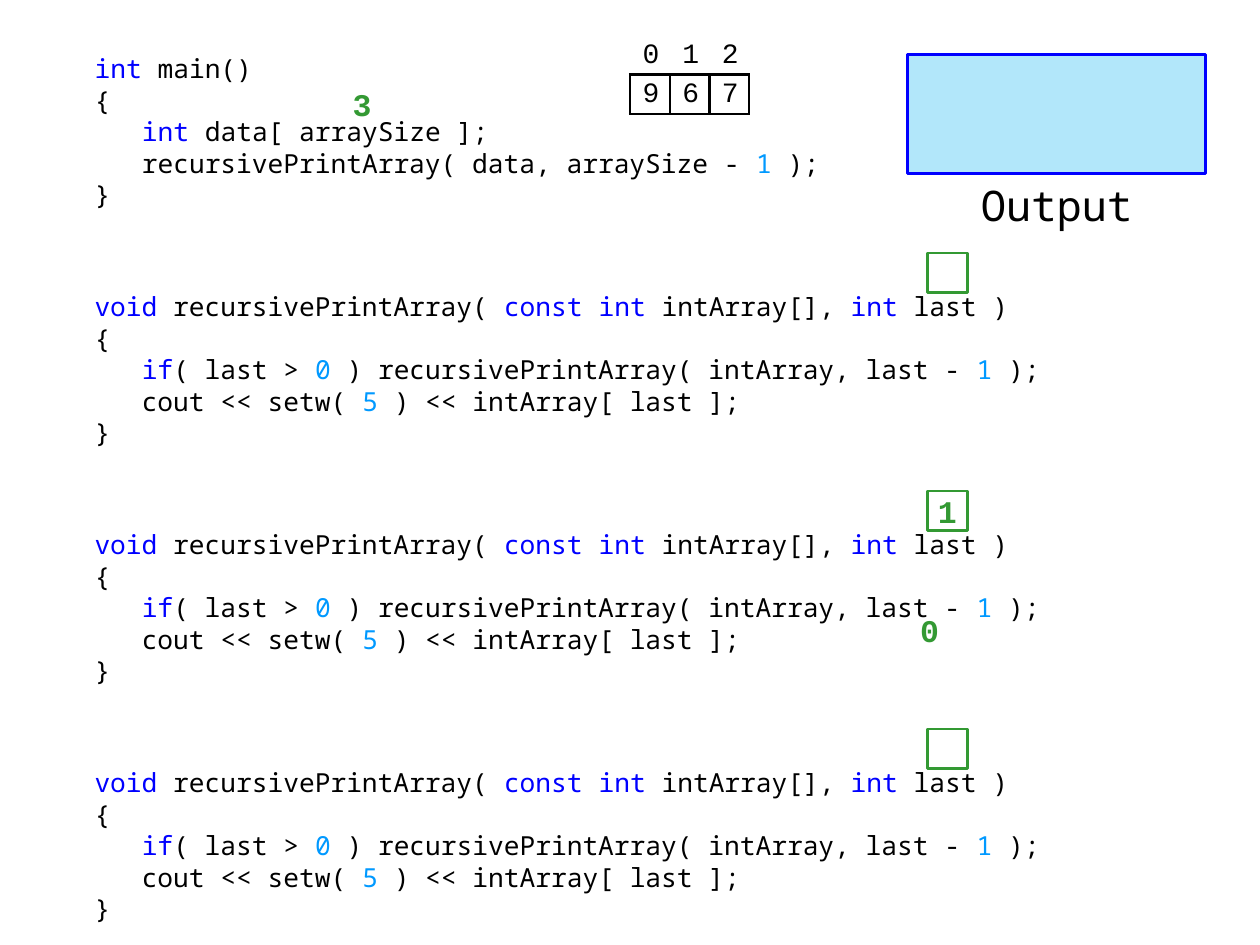
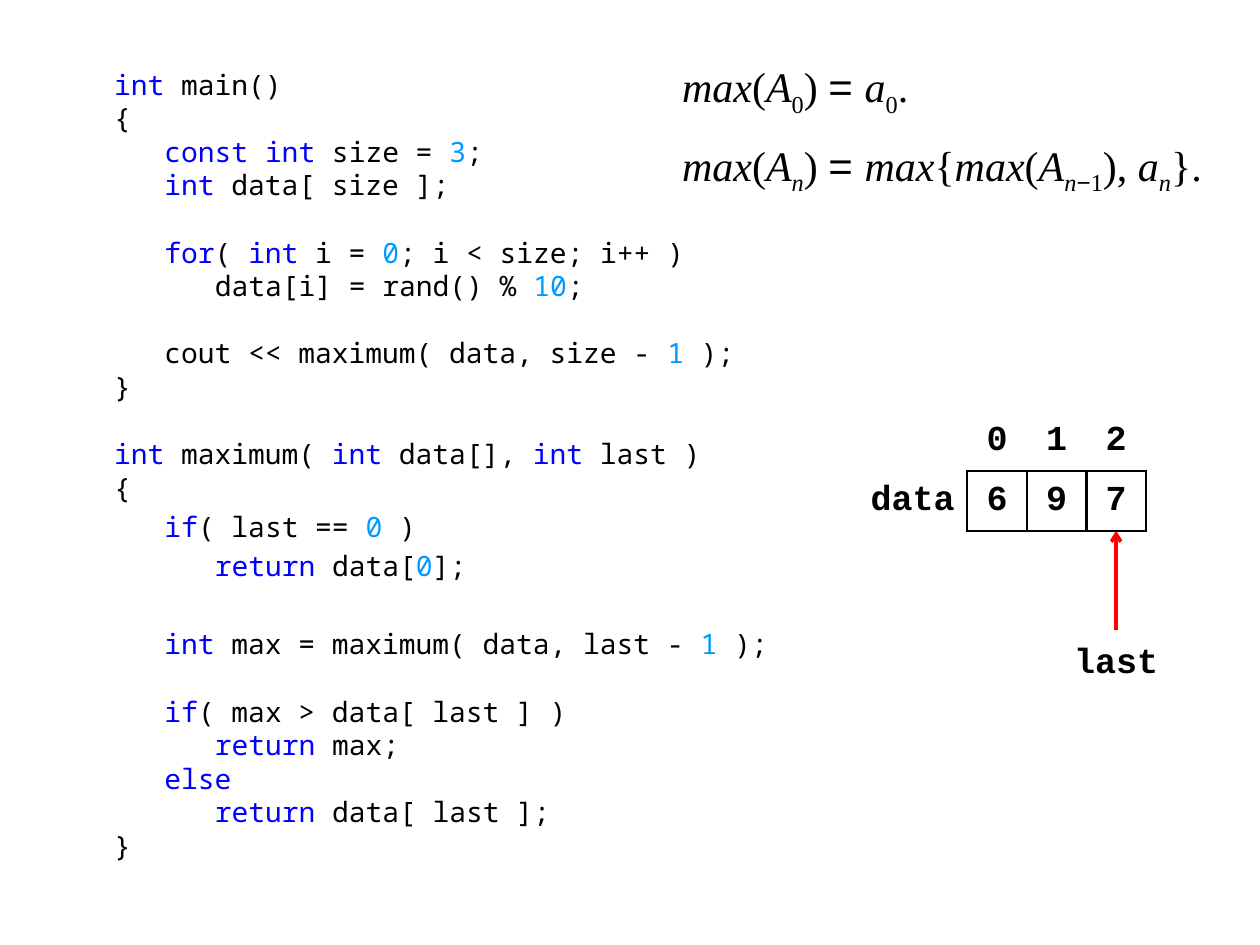
"""Build two slides that trace recursive array functions in C++."""
from itertools import groupby

from lxml import etree
from pptx import Presentation, util as u
from pptx.dml.color import RGBColor
from pptx.enum import shapes, text
from pptx.oxml.ns import qn

BLACK = RGBColor(0x00, 0x00, 0x00)
KEYWORD = RGBColor(0x00, 0x00, 0xFF)
NUMBER = RGBColor(0x00, 0x99, 0xFF)
GREEN = RGBColor(0x33, 0x99, 0x33)
RED = RGBColor(0xFF, 0x00, 0x00)
SKY = RGBColor(0x00, 0xB0, 0xF0)
CODE, MONO, SERIF, SANS = "Noto Sans Mono", "Courier New", "Times New Roman", "Arial"
KEYWORDS = {"int", "void", "const", "if", "else", "for", "return"}
CENTER, RIGHT = text.PP_ALIGN.CENTER, text.PP_ALIGN.RIGHT
UNIT = u.Cm(0.4)
NO_STYLE = "{2D5ABB26-0587-4C30-8999-92F81FD0307C}"

PRINT_MAIN = """int main()
{
   int data[ arraySize ];
   recursivePrintArray( data, arraySize - 1 );
}"""
PRINT_ARRAY = """void recursivePrintArray( const int intArray[], int last )
{
   if( last > 0 ) recursivePrintArray( intArray, last - 1 );
   cout << setw( 5 ) << intArray[ last ];
}"""
MAXIMUM = """int main()
{
   const int size = 3;
   int data[ size ];

   for( int i = 0; i < size; i++ )
      data[i] = rand() % 10;

   cout << maximum( data, size - 1 );
}

int maximum( int data[], int last )
{
   if( last == 0 )
      return data[0];

   int max = maximum( data, last - 1 );

   if( max > data[ last ] )
      return max;
   else
      return data[ last ];
}"""


def grid(col, row, cols, rows):
    """Turn grid columns and rows into left, top, width and height."""
    return [int(n * UNIT) for n in (col - 0.25, row - 0.25, cols, rows)]


def style(r, size, font, color=BLACK, bold=False, italic=False):
    """Format one run."""
    r.font.size, r.font.name = u.Pt(size), font
    r.font.bold, r.font.italic = bold, italic
    r.font.color.rgb = color


prs = Presentation()
prs.slide_width, prs.slide_height = u.Inches(10), u.Inches(7.5)
printing, maximum = [prs.slides.add_slide(prs.slide_layouts[0]) for _ in range(2)]
frames = []
for s, place in ((printing, (4, 2, 39, 9)), (maximum, (6, 3, 34, 42))):
    title = s.shapes.title
    title._element.getparent().remove(title._element)
    sp = s.placeholders[1]
    sp.left, sp.top, sp.width, sp.height = grid(*place)
    frames.append(sp.text_frame)

call_rows = [14 + 12 * i for i in range(3)]
calls = [printing.shapes.add_textbox(*grid(4, row, 49, 9)).text_frame for row in call_rows]
listings = [(frames[0], PRINT_MAIN, 15, (0.16, 0.14), ()),
            (frames[1], MAXIMUM, 16, (0, 0.1), range(13, 17))]
listings += [(tf, PRINT_ARRAY, 15, (0.16, 0.14), ()) for tf in calls]

for tf, source, size, (left, top), airy in listings:
    tf.word_wrap, tf.auto_size = True, text.MSO_AUTO_SIZE.NONE
    tf.vertical_anchor = text.MSO_ANCHOR.TOP
    tf.margin_left, tf.margin_top = u.Inches(left), u.Inches(top)
    tf.margin_right, tf.margin_bottom = 0, u.Inches(0.1)
    pitch, gap = 1.2 * size, 0
    for n, line in enumerate(source.splitlines()):
        gap += 0.2 * size if n in airy else 0
        if not line:
            gap += pitch
            continue
        p = tf.paragraphs[0] if n == 0 else tf.add_paragraph()
        p.alignment = text.PP_ALIGN.LEFT
        p.line_spacing, p.space_before, p.space_after = u.Pt(pitch), u.Pt(gap), u.Pt(0)
        gap = 0
        body = line.lstrip()
        pPr = p._p.get_or_add_pPr()
        pPr.set("marL", str(u.Pt(0.6 * size * (len(line) - len(body)))))
        pPr.set("indent", "0")
        words = ["".join(g) for _, g in groupby(body, str.isalnum)]
        colors = [KEYWORD if w in KEYWORDS else NUMBER if w.isdigit() else BLACK for w in words]
        for color, pairs in groupby(zip(colors, words), lambda pair: pair[0]):
            r = p.add_run()
            r.text = "".join(word for _, word in pairs)
            style(r, size, CODE, color)

labels = [(printing.shapes.add_textbox(*grid(17, 4, 3, 3)), "3", 18, MONO, GREEN, True),
          (printing.shapes.add_textbox(*grid(46, 31, 2, 2)), "0", 18, MONO, GREEN, True)]
for row, value in zip(call_rows, ("", "1", "")):
    sp = printing.shapes.add_shape(shapes.MSO_SHAPE.RECTANGLE, *grid(47, row - 1, 2, 2))
    sp.shadow.inherit = False
    sp.fill.background()
    sp.line.color.rgb, sp.line.width = GREEN, u.Pt(1.5)
    if value:
        labels.append((sp, value, 18, MONO, GREEN, True))

sp = printing.shapes.add_shape(shapes.MSO_SHAPE.RECTANGLE, *grid(46, 3, 15, 6))
sp.shadow.inherit = False
sp.fill.solid()
sp.fill.fore_color.rgb = SKY
sp.line.color.rgb, sp.line.width = KEYWORD, u.Pt(1.5)
srgb = sp._element.spPr.find(qn("a:solidFill")).find(qn("a:srgbClr"))
etree.SubElement(srgb, qn("a:alpha"), val="30000")

labels += [(printing.shapes.add_textbox(*grid(48, 9, 11, 3)), "Output", 24, CODE, BLACK, False),
           (maximum.shapes.add_textbox(*grid(53, 32, 7, 3)), "last", 20, MONO, BLACK, True)]
for sp, words, size, font, color, bold in labels:
    tf = sp.text_frame
    tf.text = words
    tf.word_wrap = False
    if font == MONO:
        tf.vertical_anchor = text.MSO_ANCHOR.MIDDLE
        tf.margin_top = tf.margin_bottom = 0
    p = tf.paragraphs[0]
    p.alignment = CENTER
    p._p.get_or_add_pPr().get_or_add_spcBef().set_spcPct(0.5)
    style(p.runs[0], size, font, color, bold)

x, foot, _, rise = grid(56.5, 32, 0, 5)
arrow = maximum.shapes.add_connector(shapes.MSO_CONNECTOR.STRAIGHT, x, foot, x, foot - rise)
arrow.line.color.rgb, arrow.line.width = RED, u.Pt(2)
etree.SubElement(arrow.line._get_or_add_ln(), qn("a:tailEnd"), type="arrow")
etree.SubElement(arrow._element.spPr, qn("a:effectLst"))

tables = [(printing, (32, 2, 6, 4), [2, 2, 2], 16, False, 0.02, ["012", "967"]),
          (maximum, (43, 21, 15, 6), [6, 3, 3, 3], 20, True, 0,
           [["", *"012"], ["data", *"697"]])]
for s, place, widths, size, bold, top, rows in tables:
    tbl = s.shapes.add_table(2, len(widths), *grid(*place)).table
    tbl.first_row = tbl.horz_banding = False
    tbl._tbl.tblPr.find(qn("a:tableStyleId")).text = NO_STYLE
    for column, width in zip(tbl.columns, widths):
        column.width = int(width * UNIT)
    for i, row in enumerate(rows):
        for j, value in enumerate(row):
            cell = tbl.cell(i, j)
            cell.fill.background()
            cell.vertical_anchor = text.MSO_ANCHOR.MIDDLE
            cell.margin_top, cell.margin_bottom = u.Inches(top), 0
            if not value:
                continue
            cell.text = value
            p = cell.text_frame.paragraphs[0]
            p.alignment = CENTER if value.isdigit() else RIGHT
            p._p.get_or_add_pPr().get_or_add_spcBef().set_spcPct(0.5)
            style(p.runs[0], size, MONO, BLACK, bold)
            if i == 1 and value.isdigit():
                tcPr = cell._tc.get_or_add_tcPr()
                for k, side in enumerate(("lnL", "lnR", "lnT", "lnB")):
                    ln = etree.Element(qn("a:" + side), w=str(u.Pt(1.5)))
                    fill = etree.SubElement(ln, qn("a:solidFill"))
                    etree.SubElement(fill, qn("a:srgbClr"), val=str(BLACK))
                    tcPr.insert(k, ln)

formulas = [
    [("max", 1, 0), ("(", 0, 0), ("A", 1, 0), ("0", 0, 1), (") ", 0, 0), ("= ", 0, 0),
     ("a", 1, 0), ("0", 0, 1), (".", 0, 0)],
    [("max", 1, 0), ("(", 0, 0), ("A", 1, 0), ("n", 1, 1), (") ", 0, 0), ("= ", 0, 0),
     ("max", 1, 0), ("{", 0, 0), ("max", 1, 0), ("(", 0, 0), ("A", 1, 0), ("n", 1, 1),
     ("\u2212", 0, 1), ("1", 0, 1), ("), ", 0, 0), ("a", 1, 0), ("n", 1, 1), ("}.", 0, 0)],
]
tf = maximum.shapes.add_textbox(*grid(34, 3, 28, 7)).text_frame
tf.word_wrap = True
for n, formula in enumerate(formulas):
    p = tf.paragraphs[0] if n == 0 else tf.add_paragraph()
    p._p.get_or_add_pPr().get_or_add_spcBef().set_spcPct(0.5)
    for words, italic, sub in formula:
        r = p.add_run()
        r.text = words
        style(r, 24, SANS if words in ("= ", "\u2212") else SERIF, italic=bool(italic))
        if sub:
            r.font._element.set("baseline", "-25000")

prs.save("out.pptx")
